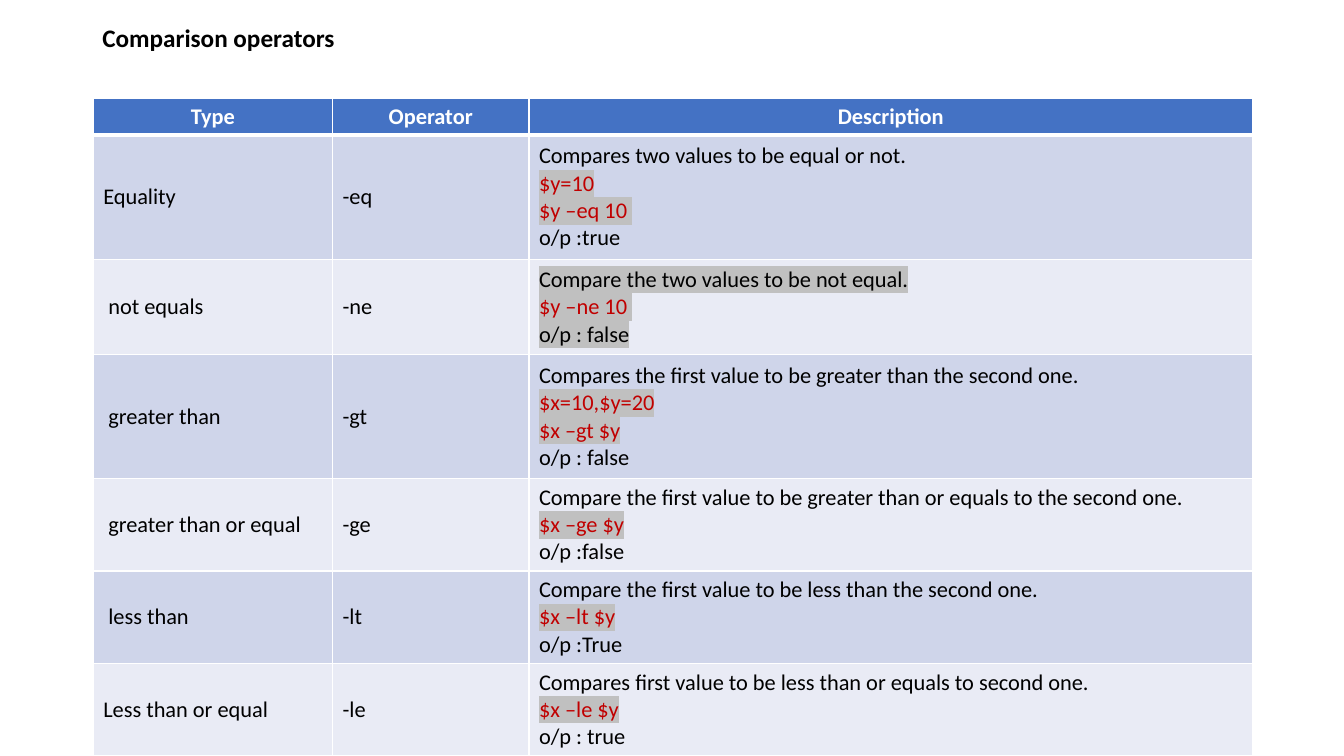
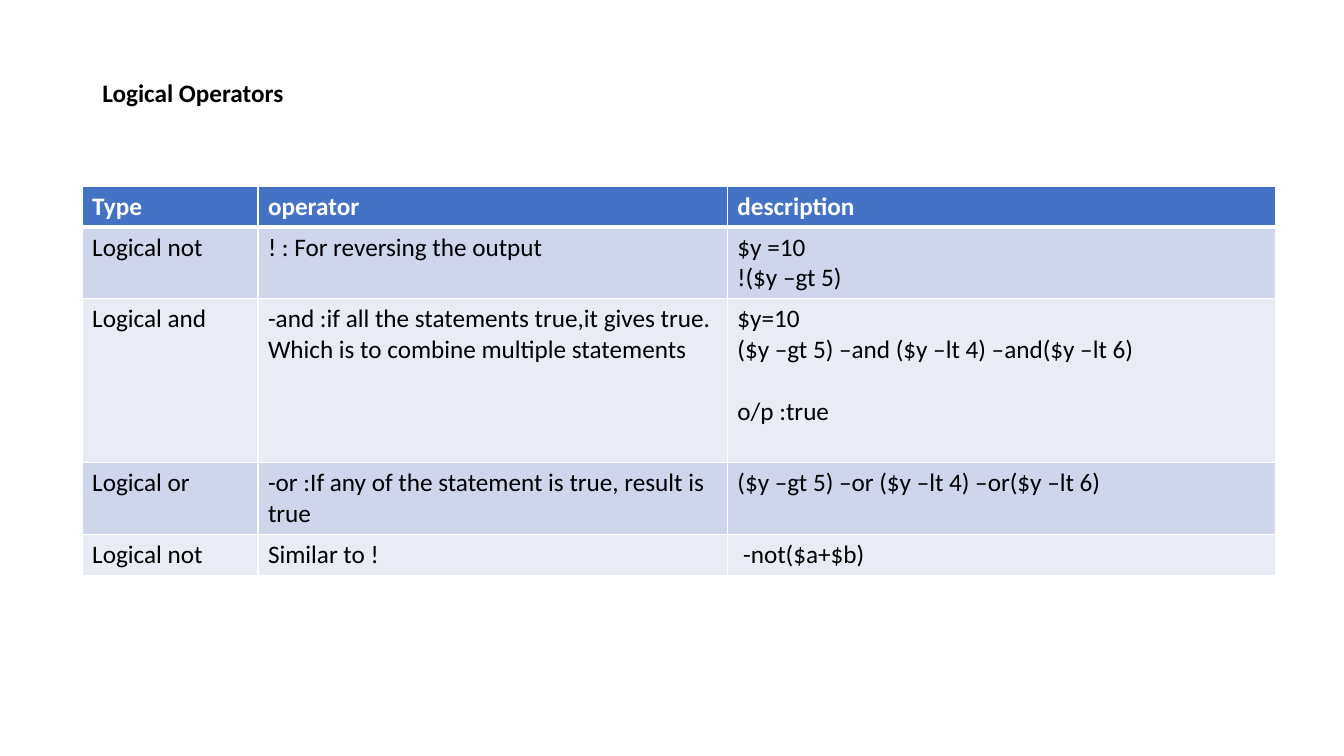
from lxml.etree import SubElement
from pptx import Presentation
from pptx.dml.color import RGBColor
from pptx.enum.text import MSO_ANCHOR, PP_ALIGN
from pptx.oxml import parse_xml
from pptx.oxml.ns import nsdecls, qn
from pptx.util import Cm, Pt

FONT = "Calibri"
BLACK, WHITE, RED, GREY = "000000", "FFFFFF", "C00000", "C0C0C0"
HEADER, BANDS = "4472C4", ("CFD5EA", "E9EBF5")


def rgb(color):
    """Turn a hex string into a colour."""
    return RGBColor.from_string(color)


def code(text):
    """Describe a highlighted line of code."""
    return text, RED, GREY


def marked(text):
    """Describe a highlighted line of plain text."""
    return text, BLACK, GREY


def add_run(p, text, size, color=BLACK, highlight=None, bold=False):
    """Add one styled run to a paragraph."""
    r = p.add_run()
    r.text = text
    r.font.size, r.font.bold = Pt(size), bold
    r.font.color.rgb = rgb(color)
    if highlight:
        mark = SubElement(r.font._element, qn("a:highlight"))
        SubElement(mark, qn("a:srgbClr")).set("val", highlight)
    r.font.name = FONT


def add_title(slide, text, left, top, width, height):
    """Write the slide title, centred vertically in its box."""
    tf = slide.shapes.add_textbox(Cm(left), Cm(top), Cm(width), Cm(height)).text_frame
    tf.word_wrap = True
    tf.vertical_anchor = MSO_ANCHOR.MIDDLE
    p = tf.paragraphs[0]
    p.line_spacing = 0.9
    add_run(p, text, 18, bold=True)


def set_borders(cell, top, bottom):
    """Draw white cell borders; top and bottom widths are in points."""
    tc_pr = cell._tc.get_or_add_tcPr()
    for i, (side, width) in enumerate(zip("LRTB", (1, 1, top, bottom))):
        tc_pr.insert(i, parse_xml(
            f'<a:ln{side} {nsdecls("a")} w="{Pt(width)}"><a:solidFill>'
            f'<a:srgbClr val="{WHITE}"/></a:solidFill></a:ln{side}>'))


def fill_cell(cell, lines, row, size, anchor, header_align, gaps):
    """Fill one cell with its lines, in the style of its row."""
    header = row == 0
    cell.fill.solid()
    cell.fill.fore_color.rgb = rgb(HEADER if header else BANDS[(row - 1) % 2])
    set_borders(cell, top=3 if row == 1 else 1, bottom=3 if header else 1)
    cell.vertical_anchor = anchor
    tf = cell.text_frame
    for i, line in enumerate([lines] if isinstance(lines, str) else lines):
        p = tf.paragraphs[0] if i == 0 else tf.add_paragraph()
        p.alignment = header_align if header else PP_ALIGN.LEFT
        if line in gaps:
            p.space_before = Pt(gaps[line])
        text, color, highlight = (line, BLACK, None) if isinstance(line, str) else line
        add_run(p, text, size, WHITE if header else color, highlight, header)


def add_operator_table(slide, rows, left, top, widths, heights, size,
                       anchor=MSO_ANCHOR.TOP, header_align=PP_ALIGN.LEFT, gaps={}):
    """Place a banded table; gaps maps a line to the points of space above it."""
    table = slide.shapes.add_table(
        len(rows), len(widths), Cm(left), Cm(top),
        Cm(sum(widths)), Cm(sum(heights))).table
    for column, width in zip(table.columns, widths):
        column.width = Cm(width)
    for i, (row, height) in enumerate(zip(rows, heights)):
        table.rows[i].height = Cm(height)
        for j, lines in enumerate(row):
            fill_cell(table.cell(i, j), lines, i, size, anchor, header_align, gaps)


COMPARISON = [
    ("Type", "Operator", "Description"),
    ("Equality", "-eq", ["Compares two values to be equal or not.",
                         code("$y=10"), code("$y –eq 10 "), "o/p :true"]),
    ("\u00a0not equals", "-ne", [marked("Compare the two values to be not equal."),
                                 code("$y –ne 10 "), marked("o/p : false")]),
    ("\u00a0greater than ", "-gt",
     ["Compares the first value to be greater than the second one.",
      code("$x=10,$y=20"), code("$x –gt $y"), "o/p : false"]),
    ("\u00a0greater than or equal", "-ge",
     ["Compare the first value to be greater than or equals to the second one.",
      code("$x –ge $y"), "o/p :false"]),
    ("\u00a0less than", "-lt",
     ["Compare the first value to be less than the second one.",
      code("$x –lt $y"), "o/p :True"]),
    ("Less than or equal", "-le",
     ["Compares first value to be less than or equals to second one.",
      code("$x –le $y"), "o/p : true"]),
]

LOGICAL = [
    ("Type", "operator", "description"),
    ("Logical not", "! : For reversing the output", ["$y =10", "!($y –gt 5)"]),
    ("Logical and", ["-and :if all the statements true,it gives true.",
                     "Which is to combine multiple statements"],
     ["$y=10", "($y –gt 5) –and ($y –lt 4) –and($y –lt 6)", "o/p :true"]),
    ("Logical or", "-or :If any of the statement is true, result is true",
     "($y –gt 5) –or ($y –lt 4) –or($y –lt 6)"),
    ("Logical not", "Similar to !", " -not($a+$b)"),
]

prs = Presentation()
prs.slide_width, prs.slide_height = Cm(33.87), Cm(19.05)
blank = prs.slide_layouts[6]

slide = prs.slides.add_slide(blank)
add_title(slide, "Comparison operators", 2.33, 0, 29.21, 2)
add_operator_table(slide, COMPARISON, 2.35, 2.47, (6.03, 4.95, 18.24),
                   (0.94, 3.12, 2.41, 3.12, 2.33, 2.33, 2.33), 16,
                   MSO_ANCHOR.MIDDLE, PP_ALIGN.CENTER)

slide = prs.slides.add_slide(blank)
add_title(slide, "Logical Operators", 2.33, 1.01, 29.21, 2.72)
add_operator_table(slide, LOGICAL, 2.07, 4.69, (4.43, 11.83, 13.82),
                   (1.03, 1.81, 4.13, 1.81, 1.03), 18, gaps={"o/p :true": 22})

prs.save("out.pptx")
